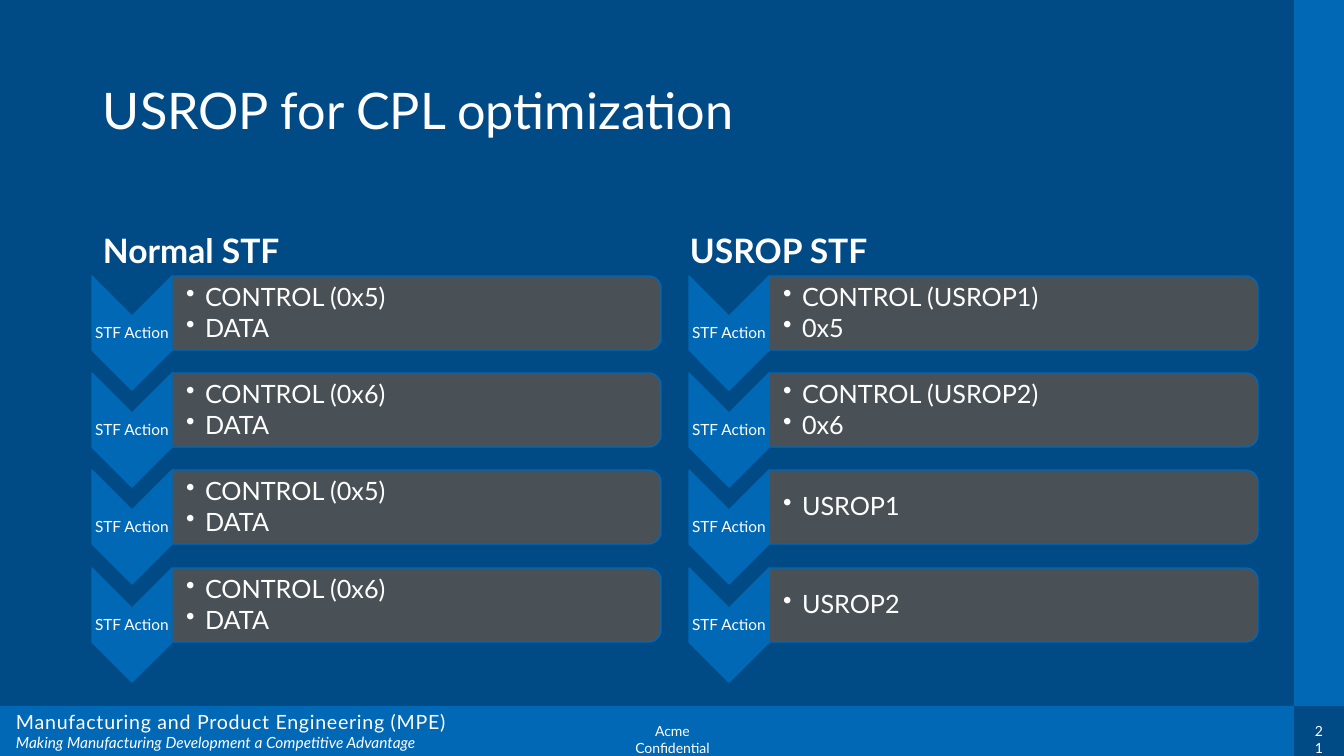
from lxml import etree
from pptx import Presentation
from pptx.dml.color import RGBColor
from pptx.enum.shapes import MSO_SHAPE
from pptx.enum.text import MSO_ANCHOR, PP_ALIGN
from pptx.oxml.ns import qn
from pptx.util import Pt

RECTANGLE = MSO_SHAPE.RECTANGLE
CHEVRON = MSO_SHAPE.CHEVRON
ROUNDED_TOP = MSO_SHAPE.ROUND_2_SAME_RECTANGLE
TOP, MIDDLE, BOTTOM = MSO_ANCHOR.TOP, MSO_ANCHOR.MIDDLE, MSO_ANCHOR.BOTTOM
LEFT, CENTER = PP_ALIGN.LEFT, PP_ALIGN.CENTER

NAVY, BLUE, GRAY, WHITE = "004A86", "0068B5", "525252", "FFFFFF"
FONT = "Lato"

TITLE = "USROP for CPL optimization"
ACTION = "STF Action"
# heading, heading left, heading width, left of the chevrons, bullets of each row
COLUMNS = [
    ("Normal STF", 93, 568, 92, [
        ["CONTROL (0x5)", "DATA"],
        ["CONTROL (0x6)", "DATA"],
        ["CONTROL (0x5)", "DATA"],
        ["CONTROL (0x6)", "DATA"],
    ]),
    ("USROP STF", 680, 572, 689, [
        ["CONTROL (USROP1)", "0x5"],
        ["CONTROL (USROP2)", "0x6"],
        ["USROP1"],
        ["USROP2"],
    ]),
]
DIVISION = "Manufacturing and Product Engineering (MPE)"
MOTTO = "Making Manufacturing Development a Competitive Advantage"
CONFIDENTIAL = "Acme Confidential"
PAGE = "21"

SLIDE_WIDTH, SLIDE_HEIGHT = 1344, 756
BAND_TOP, SIDE_LEFT = 706, 1294
ROWS_TOP, THREE_ROWS = 276, 292
CHEVRON_WIDTH, CHEVRON_HEIGHT = 80, 114
PANEL_WIDTH, PANEL_HEIGHT = 489, 74

DEFAULT_INSETS = (10, 5, 10, 5)
NO_INSETS = (0, 0, 0, 0)


def px(value):
    return round(value * 914400 / 100.8)


def color(value):
    return RGBColor.from_string(value)


def add_block(slide, kind, left, top, width, height, fill, line=None, turned=False, opacity=None):
    """Add a filled shape by its visible box; a turned one is rotated by 90 degrees."""
    if turned:
        left, top = left + (width - height) / 2, top + (height - width) / 2
        width, height = height, width
    shape = slide.shapes.add_shape(kind, px(left), px(top), px(width), px(height))
    shape.shadow.inherit = False
    shape.rotation = 90 if turned else 0
    shape.fill.solid()
    shape.fill.fore_color.rgb = color(fill)
    if opacity:
        fill_color = shape.fill._xPr.find(qn("a:solidFill"))[0]
        etree.SubElement(fill_color, qn("a:alpha"), val=str(opacity * 1000))
    if line:
        shape.line.color.rgb = color(line)
        shape.line.width = Pt(1)
    else:
        shape.line.fill.background()


def add_text(slide, box, lines, anchor=TOP, insets=DEFAULT_INSETS, bullet=False, **layout):
    """Add a text box; lines holds (text, font values), layout holds paragraph values."""
    frame = slide.shapes.add_textbox(*map(px, box)).text_frame
    frame.word_wrap = True
    frame.vertical_anchor = anchor
    for side, inset in zip(("left", "top", "right", "bottom"), insets):
        setattr(frame, f"margin_{side}", px(inset))
    for index, (text, font_values) in enumerate(lines):
        paragraph = frame.add_paragraph() if index else frame.paragraphs[0]
        for name, value in layout.items():
            setattr(paragraph, name, value)
        if bullet:
            properties = paragraph._p.get_or_add_pPr()
            properties.set("marL", str(px(19)))
            properties.set("indent", str(px(-19)))
            etree.SubElement(properties, qn("a:buChar"), char="•")
        run = paragraph.add_run()
        run.text = text
        run.font.name = FONT
        run.font.color.rgb = color(WHITE)
        for name, value in font_values.items():
            setattr(run.font, name, value)
    return frame


def add_row(slide, left, top, bullets):
    """Add one chevron with its label and the panel of bullets beside it."""
    add_block(slide, CHEVRON, left, top, CHEVRON_WIDTH, CHEVRON_HEIGHT, BLUE, BLUE, turned=True)
    add_text(slide, (left, top + 40, CHEVRON_WIDTH, 34), [(ACTION, {"size": Pt(11)})],
             MIDDLE, (1, 1, 1, 1), alignment=CENTER, line_spacing=0.9)
    panel_left = left + CHEVRON_WIDTH
    add_block(slide, ROUNDED_TOP, panel_left, top, PANEL_WIDTH, PANEL_HEIGHT, GRAY, BLUE,
              turned=True, opacity=90)
    add_text(slide, (panel_left, top + 4, PANEL_WIDTH - 4, PANEL_HEIGHT - 7),
             [(bullet, {"size": Pt(18)}) for bullet in bullets],
             MIDDLE, (14, 1, 1, 1), bullet=True,
             level=1, alignment=LEFT, line_spacing=0.9, space_after=Pt(2.7))


def add_footer(slide):
    add_block(slide, RECTANGLE, 0, BAND_TOP, SIDE_LEFT, SLIDE_HEIGHT - BAND_TOP, BLUE)
    add_block(slide, RECTANGLE, SIDE_LEFT, 0, SLIDE_WIDTH - SIDE_LEFT, BAND_TOP, BLUE)
    small = {"size": Pt(10)}
    add_text(slide, (611, 718, 123, 27), [(CONFIDENTIAL, small)], alignment=CENTER)
    add_text(slide, (1311, 723, 16, 17), [(PAGE, small)], insets=NO_INSETS, alignment=CENTER)
    frame = add_text(slide, (16, 710, 745, 42),
                     [(DIVISION, {"size": Pt(14)}), (MOTTO, {"size": Pt(11), "italic": True})],
                     insets=NO_INSETS)
    frame.paragraphs[0].runs[0].font._element.set("spc", "50")


def main():
    presentation = Presentation()
    presentation.slide_width = px(SLIDE_WIDTH)
    presentation.slide_height = px(SLIDE_HEIGHT)
    slide = presentation.slides.add_slide(presentation.slide_layouts[6])
    slide.background.fill.solid()
    slide.background.fill.fore_color.rgb = color(NAVY)

    add_footer(slide)
    add_text(slide, (93, 40, 1159, 146), [(TITLE, {"size": Pt(36)})], MIDDLE, line_spacing=0.9)
    for heading, heading_left, heading_width, left, rows in COLUMNS:
        add_text(slide, (heading_left, 185, heading_width, 91),
                 [(heading, {"size": Pt(24), "bold": True})], BOTTOM, line_spacing=0.9)
        for index, bullets in enumerate(rows):
            add_row(slide, left, ROWS_TOP + index * THREE_ROWS // 3, bullets)
    presentation.save("out.pptx")


if __name__ == "__main__":
    main()
